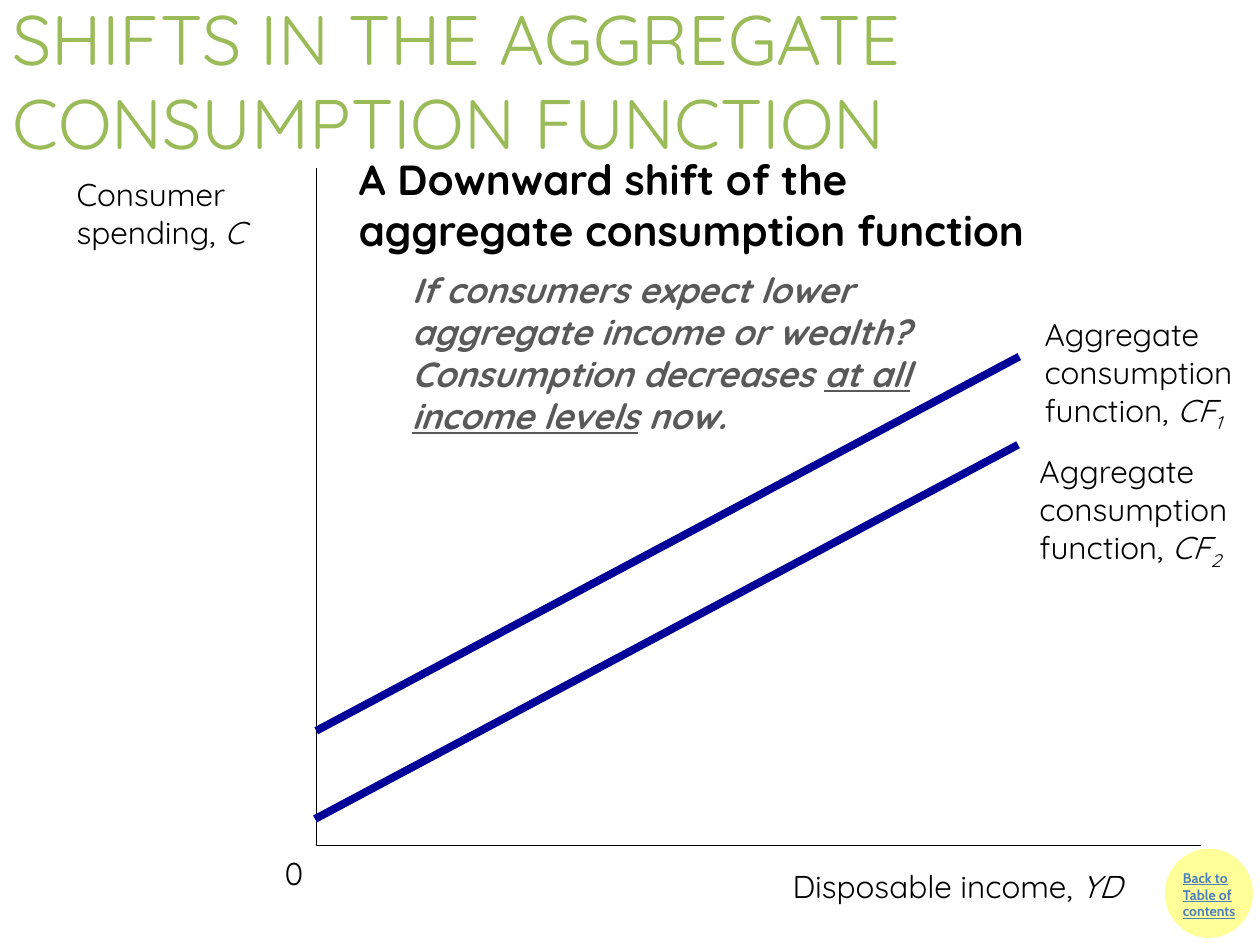
from lxml import etree
from pptx import Presentation
from pptx import util as u
from pptx.dml.color import RGBColor
from pptx.enum import shapes, text
from pptx.oxml import ns

Inches = u.Inches
COLORS = {
    "title": "9BBB59",
    "text": "000000",
    "note": "595959",
    "curve": "000099",
    "button": "FFFF99",
    "link": "4F81BD",
}
PLAIN = {}
ITALIC = {"italic": True}
UNDERLINE = {"underline": True}
SUBSCRIPT = {"subscript": True}


def rgb(name):
    return RGBColor.from_string(COLORS[name])


def style_font(font, size, color="text", name="Quicksand", bold=False, italic=False, underline=False):
    font.name = name
    font.size = u.Pt(size)
    font.color.rgb = rgb(color)
    font.bold = bold
    font.italic = italic
    font.underline = underline


def add_text(slide, box, lines, size, inset=True, align=text.PP_ALIGN.LEFT, **base):
    frame = slide.shapes.add_textbox(*map(Inches, box)).text_frame
    frame.word_wrap = inset
    frame.auto_size = text.MSO_AUTO_SIZE.SHAPE_TO_FIT_TEXT
    if not inset:
        frame.margin_left = frame.margin_right = 0
        frame.margin_top = frame.margin_bottom = 0
    for index, line in enumerate(lines):
        paragraph = frame.paragraphs[0] if index == 0 else frame.add_paragraph()
        paragraph.alignment = align
        for words, extra in line:
            run = paragraph.add_run()
            run.text = words
            look = {**base, **extra}
            subscript = look.pop("subscript", False)
            style_font(run.font, size, **look)
            if subscript:
                run._r.get_or_add_rPr().set("baseline", "-25000")


def add_title(slide, words):
    title = slide.shapes.title
    title.left, title.top, title.width, title.height = map(Inches, (0, 0.17, 10, 0.92))
    frame = title.text_frame
    frame.text = words
    frame.word_wrap = True
    frame.auto_size = text.MSO_AUTO_SIZE.NONE
    frame.vertical_anchor = text.MSO_ANCHOR.MIDDLE
    paragraph = frame.paragraphs[0]
    paragraph.alignment = text.PP_ALIGN.LEFT
    style_font(paragraph.runs[0].font, 40, "title")


def add_contents_button(slide):
    button = slide.shapes.add_shape(
        shapes.MSO_SHAPE.OVAL, *map(Inches, (9.26, 6.75, 0.67, 0.68)))
    button.shadow.inherit = False
    button.fill.solid()
    button.fill.fore_color.rgb = rgb("button")
    button.line.color.rgb = rgb("button")
    button.line.width = u.Pt(2)
    add_text(slide, (9.29, 6.85, 0.72, 0.67), [[("Back to Table of contents", UNDERLINE)]],
             8, color="link", name="Cabin", bold=True)


def add_axes(slide):
    builder = slide.shapes.build_freeform(Inches(9.53), Inches(6.71))
    corner_and_top = [(Inches(2.51), Inches(6.71)), (Inches(2.51), Inches(1.33))]
    builder.add_line_segments(corner_and_top, close=False)
    axes = builder.convert_to_shape()
    axes.shadow.inherit = False
    axes.fill.background()
    axes.line.color.rgb = rgb("text")
    axes.line.width = u.Pt(0)


def add_curve(slide, left, bottom):
    curve = slide.shapes.add_connector(
        shapes.MSO_CONNECTOR.STRAIGHT,
        *map(Inches, (left, bottom, left + 5.58, bottom - 2.97)))
    curve.line.color.rgb = rgb("curve")
    curve.line.width = u.Pt(4.5)
    etree.SubElement(curve._element.spPr, ns.qn("a:effectLst"))


def add_curve_label(slide, left, top, number):
    lines = [
        [("Aggregate", PLAIN)],
        [("consumption", PLAIN)],
        [("function, ", PLAIN), ("CF", ITALIC), (number, {**ITALIC, **SUBSCRIPT})],
    ]
    add_text(slide, (left, top, 1.6, 0.91), lines, 18, inset=False)


def main():
    deck = Presentation()
    deck.slide_width, deck.slide_height = Inches(10), Inches(7.5)
    slide = deck.slides.add_slide(deck.slide_layouts[5])

    add_contents_button(slide)
    add_title(slide, "SHIFTS IN THE AGGREGATE CONSUMPTION FUNCTION")
    add_axes(slide)
    add_curve(slide, 2.51, 5.8)
    add_curve(slide, 2.5, 6.5)
    add_curve_label(slide, 8.29, 2.5, "1")
    add_curve_label(slide, 8.25, 3.59, "2")

    add_text(slide, (2.26, 6.78, 0.14, 0.3), [[("0", PLAIN)]], 18, inset=False)
    add_text(slide, (0.51, 1.34, 2, 0.71),
             [[("Consumer", PLAIN)], [("spending, ", PLAIN), ("C", ITALIC)]], 18)
    add_text(slide, (4.83, 6.83, 4.17, 0.4),
             [[("Disposable income, ", PLAIN), ("YD", ITALIC)]], 18,
             align=text.PP_ALIGN.RIGHT)
    add_text(slide, (2.75, 1.17, 6, 0.91),
             [[("A Downward shift of the", PLAIN)],
              [("aggregate consumption function", PLAIN)]], 24, bold=True)
    explanation = [
        ("If consumers expect lower aggregate income or wealth? Consumption decreases ", PLAIN),
        ("at all income levels", UNDERLINE),
        (" now.", PLAIN),
    ]
    add_text(slide, (3.17, 2.08, 4.29, 1.45), [explanation], 20,
             color="note", bold=True, italic=True)

    deck.save("out.pptx")


if __name__ == "__main__":
    main()
